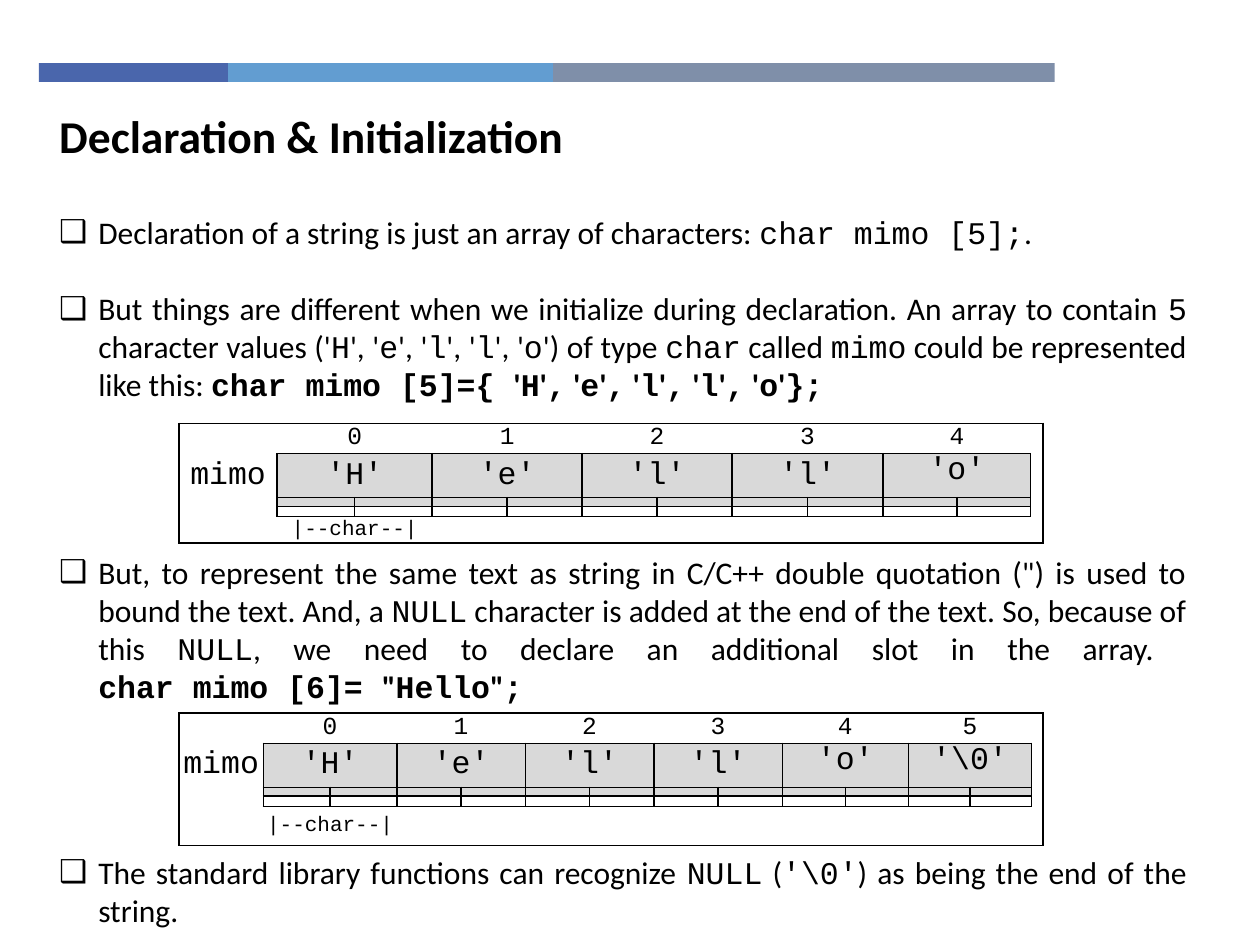
"""Build a slide on declaring and initializing character strings."""
from dataclasses import dataclass

import lxml.etree
import pptx
import pptx.dml.color
import pptx.enum.shapes
import pptx.enum.text
import pptx.oxml.ns
import pptx.util

COLS, ROWS = 100, 75
HUES = {"ink": "000000", "slot": "D9D9D9", "navy": "4A66AC",
        "sky": "629DD1", "slate": "7F8FA9"}
SANS, MONO = "Calibri", "Courier New"
PLAIN = "{2D5ABB26-0587-4C30-8999-92F81FD0307C}"
ALIGN = pptx.enum.text.PP_ALIGN
ANCHOR = pptx.enum.text.MSO_ANCHOR
qn = pptx.oxml.ns.qn
sub = lxml.etree.SubElement


@dataclass
class Bar:
    """A strip of the top band: its width in grid columns and its colour."""
    wide: float
    hue: str


@dataclass
class Point:
    """A bulleted paragraph; backticks mark code and asterisks mark bold."""
    text: str
    gap: float


@dataclass
class Array:
    """A memory diagram: top and sizes in grid units, and slot values."""
    top: float
    label: float
    slots: list[float]
    tail: float
    foot: float
    values: list[str]


BARS = [Bar(15, "navy"), Bar(25.8, "sky"), Bar(39.8, "slate")]
POINTS = [
    Point("Declaration of a string is just an array of characters: `char mimo [5];`.", 0),
    Point("But things are different when we initialize during declaration. "
          "An array to contain `5` character values ('`H`', '`e`', '`l`', '`l`', '`o`') "
          "of type `char` called `mimo` could be represented like this: "
          "*`char mimo [5]={ `'`H`'`,` '`e`'`,` '`l`'`,` '`l`'`,` '`o`'`};`*", 22),
    Point('But, to represent the same text as string in C/C++ double quotation (") '
          "is used to bound the text. And, a `NULL` character is added at the end of "
          "the text. So, because of this `NULL`, we need to declare an additional slot "
          'in the array. \n*`char mimo [6]= `"`Hello`"`;`*', 86),
    Point(r"The standard library functions can recognize `NULL` (`'\0'`) "
          "as being the end of the string.", 85),
]
ARRAYS = [
    Array(33.6, 7.8, [12.3, 11.9, 11.9, 12, 11.7], 1, 2.1,
          ["'H'", "'e'", "'l'", "'l'", "'o'"]),
    Array(56.6, 6.7, [10.6, 10.2, 10.2, 10.2, 10, 9.8], 0.9, 3.1,
          ["'H'", "'e'", "'l'", "'l'", "'o'", r"'\0'"]),
]


def unit(n: float) -> pptx.util.Inches:
    """Turn grid units into a length."""
    return pptx.util.Inches(n / 10)


def color(name: str) -> pptx.dml.color.RGBColor:
    """Look up a named colour."""
    return pptx.dml.color.RGBColor.from_string(HUES[name])


def place(shape, left: float, top: float, wide: float, high: float) -> None:
    """Put a shape on the grid."""
    shape.left, shape.top = unit(left), unit(top)
    shape.width, shape.height = unit(wide), unit(high)


def write(para, text: str, size: float = 18, font: str = SANS,
          bold: bool = False, align=ALIGN.LEFT, gap: float = 0) -> None:
    """Write marked-up text into a paragraph."""
    para.alignment = align
    para.space_before = pptx.util.Pt(gap)
    for i, part in enumerate(text.split("*")):
        for j, bit in enumerate(part.split("`")):
            if not bit:
                continue
            run = para.add_run()
            run.text = bit.rstrip("\n")
            run.font.name = MONO if j % 2 else font
            run.font.size = pptx.util.Pt(size)
            run.font.bold = bold or i % 2 == 1
            run.font.color.rgb = color("ink")
            if bit.endswith("\n"):
                para.add_line_break()
    if not text:
        sub(para._p, qn("a:endParaRPr"), sz=str(int(size * 100)))


def bullet(para) -> None:
    """Give a paragraph a hanging square bullet."""
    props = para._p.get_or_add_pPr()
    props.set("marL", str(unit(3.1)))
    props.set("indent", str(-unit(3.1)))
    sub(props, qn("a:buFont"), typeface="Arial")
    sub(props, qn("a:buChar"), char="❑")


def edge(cell, side: str) -> None:
    """Draw one side of a cell."""
    line = sub(cell._tc.get_or_add_tcPr(), qn("a:ln" + side), w="12700")
    sub(sub(line, qn("a:solidFill")), qn("a:srgbClr"), val=HUES["ink"])


def upright(row: int, col: int, count: int) -> bool:
    """Tell whether a line runs to the left of a column."""
    return col in (0, count) or row in (2, 3) or (row == 1 and col % 2 == 1)


def level(row: int, col: int, count: int) -> bool:
    """Tell whether a line runs above a row."""
    return row in (0, 5) or (row in (1, 3) and 0 < col < count - 1)


def diagram(slide, data: Array) -> None:
    """Draw an array as a table with two columns to each slot."""
    wides = [data.label, *(w / 2 for w in data.slots for _ in range(2)), data.tail]
    highs = [2.4, 3.5, 0.7, 0.8, data.foot]
    count = len(wides)
    frame = slide.shapes.add_table(len(highs), count, unit(14.2), unit(data.top),
                                   unit(sum(wides)), unit(sum(highs)))
    table = frame.table
    table.first_row = table.horz_banding = False
    table._tbl.tblPr.find(qn("a:tableStyleId")).text = PLAIN
    for col, wide in zip(table.columns, wides):
        col.width = unit(wide)
    for row, high in zip(table.rows, highs):
        row.height = unit(high)

    words = {(1, 0): ("mimo", 18), (4, 1): ("|--char--|", 12)}
    for i, value in enumerate(data.values):
        words[0, 2 * i + 1] = (str(i), 14)
        words[1, 2 * i + 1] = (value, 18)
    for r in range(len(highs)):
        for c in range(count):
            cell = table.cell(r, c)
            inner = 0 < c < count - 1
            head = inner and c % 2 == 1 and r in (0, 1, 4)
            if head:
                cell.merge(table.cell(r, c + 1))
            sides = {"L": upright(r, c, count),
                     "R": upright(r, c + 2 if head else c + 1, count),
                     "T": level(r, c, count), "B": level(r + 1, c, count)}
            for side in filter(sides.get, sides):
                edge(cell, side)
            if inner and r in (1, 2):
                cell.fill.solid()
                cell.fill.fore_color.rgb = color("slot")
            else:
                cell.fill.background()
            cell.margin_left = cell.margin_right = 0
            cell.margin_top = cell.margin_bottom = 0
            high = r == 1 and c >= 9
            cell.vertical_anchor = ANCHOR.TOP if high else ANCHOR.MIDDLE
            text, size = words.get((r, c), ("", 1))
            write(cell.text_frame.paragraphs[0], text, size=size, font=MONO,
                  align=ALIGN.CENTER)


def main() -> None:
    """Build and save the slide."""
    deck = pptx.Presentation()
    deck.slide_width, deck.slide_height = unit(COLS), unit(ROWS)
    slide = deck.slides.add_slide(deck.slide_layouts[1])

    left = 3.1
    for bar in BARS:
        rect = slide.shapes.add_shape(pptx.enum.shapes.MSO_SHAPE.RECTANGLE, 0, 0, 0, 0)
        place(rect, left, 5, bar.wide, 1.5)
        rect.shadow.inherit = False
        rect.fill.solid()
        rect.fill.fore_color.rgb = color(bar.hue)
        rect.line.fill.background()
        left += bar.wide

    title, body = slide.placeholders
    place(title, 3.7, 8, 71.6, 5.4)
    place(body, 3.7, 16.4, 91.5, 58.6)
    for shape, anchor in ((title, ANCHOR.MIDDLE), (body, ANCHOR.TOP)):
        shape.text_frame.word_wrap = True
        shape.text_frame.auto_size = pptx.enum.text.MSO_AUTO_SIZE.NONE
        shape.text_frame.vertical_anchor = anchor
    write(title.text_frame.paragraphs[0], "Declaration & Initialization", size=26, bold=True)
    for i, point in enumerate(POINTS):
        para = body.text_frame.add_paragraph() if i else body.text_frame.paragraphs[0]
        write(para, point.text, align=ALIGN.JUSTIFY, gap=point.gap)
        bullet(para)

    for data in ARRAYS:
        diagram(slide, data)
    deck.save("out.pptx")


if __name__ == "__main__":
    main()
